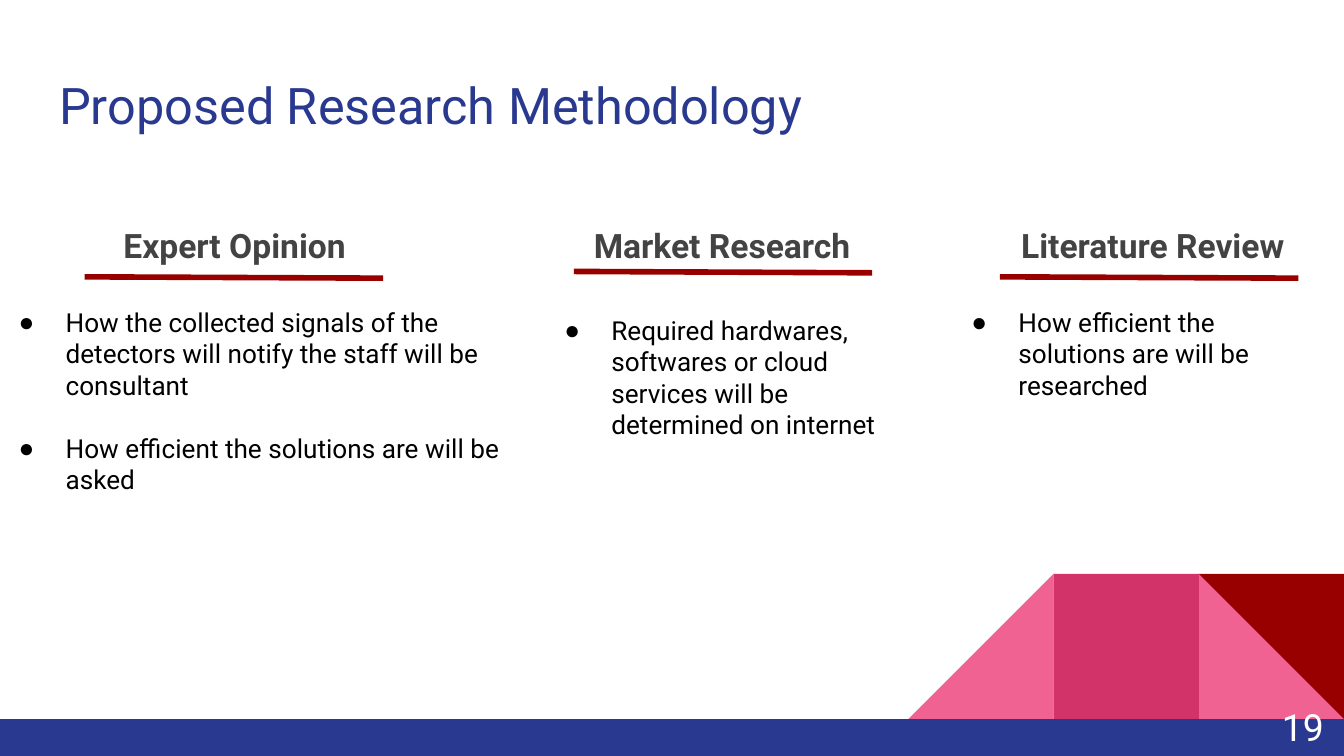
from lxml import etree
from pptx import Presentation
from pptx.dml.color import RGBColor
from pptx.enum.shapes import MSO_CONNECTOR as CONN, MSO_SHAPE as SHAPE
from pptx.enum.text import MSO_ANCHOR as ANCHOR, MSO_AUTO_SIZE as FIT, PP_ALIGN as ALIGN
from pptx.oxml.ns import qn
from pptx.util import Inches, Pt

W = 10
H = W * 9 / 16
TILE = 1.08
FOOTER_TOP = 5.35
FONT = "Roboto"
BULLET_FONT = "Arial"
COLORS = {
    "blue": "2A3990", "pink": "F06292", "rose": "D23369", "red": "980000",
    "gray": "434343", "black": "000000", "white": "FFFFFF",
}
# heading, heading left, rule left, rule top, list box, bullets
COLUMNS = [
    ("Expert Opinion", 0.82, 0.63, 2.06, (-0.11, 2.18, 4.13, 1.62),
     ["How the collected signals of the detectors will notify the staff will be consultant",
      "How efficient the solutions are will be asked"]),
    ("Market Research", 4.32, 4.27, 2.02, (3.95, 2.24, 2.85, 1.14),
     ["Required hardwares, softwares or cloud services will be determined on internet"]),
    ("Literature Review", 7.5, 7.44, 2.06, (6.98, 2.18, 2.97, 0.91),
     ["How efficient the solutions are will be researched"]),
]


def color(name):
    return RGBColor.from_string(COLORS[name])


def inches(box):
    return [Inches(v) for v in box]


def set_frame(tf, anchor=ANCHOR.TOP):
    tf.word_wrap = True
    tf.auto_size = FIT.NONE
    tf.vertical_anchor = anchor
    tf.margin_left = tf.margin_right = tf.margin_top = tf.margin_bottom = Inches(0.1)


def style(p, size, name, bold=False):
    for r in p.runs:
        r.font.name, r.font.size, r.font.bold = FONT, Pt(size), bold
        r.font.color.rgb = color(name)


def add_text(s, box, text, size, name, bold=False, anchor=ANCHOR.TOP):
    """Add a one-paragraph text box and return the paragraph."""
    tf = s.shapes.add_textbox(*inches(box)).text_frame
    set_frame(tf, anchor)
    tf.text = text
    p = tf.paragraphs[0]
    style(p, size, name, bold)
    return p


def add_bullet_mark(p):
    pPr = p._p.get_or_add_pPr()
    pPr.set("marL", str(Inches(0.5)))
    pPr.set("indent", str(Inches(-0.35)))
    clr = etree.SubElement(pPr, qn("a:buClr"))
    etree.SubElement(clr, qn("a:srgbClr"), val=COLORS["black"])
    etree.SubElement(pPr, qn("a:buFont"), typeface=BULLET_FONT)
    etree.SubElement(pPr, qn("a:buChar"), char="●")


def add_bullets(s, box, items):
    tf = s.shapes.add_textbox(*inches(box)).text_frame
    set_frame(tf)
    for i, item in enumerate(items):
        p = tf.paragraphs[0] if i == 0 else tf.add_paragraph()
        p.text = item
        add_bullet_mark(p)
        style(p, 14, "black")
        if i:
            p.space_before = Pt(17)


def add_block(s, kind, box, name, flip=False, rotation=0):
    sp = s.shapes.add_shape(kind, *inches(box))
    sp.shadow.inherit = False
    sp.fill.solid()
    sp.fill.fore_color.rgb = color(name)
    sp.line.fill.background()
    sp.rotation = rotation
    if flip:
        sp._element.spPr.find(qn("a:xfrm")).set("flipH", "1")


def add_rule(s, left, top):
    """Add the slightly sloping line under a column heading."""
    ends = inches((left + 2.22, top + 0.01, left, top))
    line = s.shapes.add_connector(CONN.STRAIGHT, *ends)
    line.line.color.rgb = color("red")
    line.line.width = Pt(3)
    etree.SubElement(line._element.spPr, qn("a:effectLst"))


def add_decor(s):
    def tile(column):
        return W - column * TILE, FOOTER_TOP - TILE, TILE, TILE

    add_block(s, SHAPE.RIGHT_TRIANGLE, tile(1), "pink")
    add_block(s, SHAPE.RIGHT_TRIANGLE, tile(3), "pink", flip=True)
    add_block(s, SHAPE.RECTANGLE, tile(2), "rose")
    add_block(s, SHAPE.RIGHT_TRIANGLE, tile(1), "red", rotation=180)
    add_block(s, SHAPE.RECTANGLE, (0, FOOTER_TOP, W, H - FOOTER_TOP), "blue")


def set_title(s, text):
    title = s.shapes.title
    title.left, title.top, title.width, title.height = inches((0.34, 0.45, 9.32, 0.66))
    set_frame(title.text_frame)
    title.text_frame.text = text
    p = title.text_frame.paragraphs[0]
    p.alignment = ALIGN.LEFT
    style(p, 27, "blue")


def main():
    prs = Presentation()
    prs.slide_width, prs.slide_height = Inches(W), Inches(H)
    s = prs.slides.add_slide(prs.slide_layouts[5])
    add_decor(s)
    set_title(s, "Proposed Research Methodology")
    number = add_text(s, (9.35, 5.19, 0.6, 0.43), "19", 20, "white", anchor=ANCHOR.MIDDLE)
    number.alignment = ALIGN.RIGHT
    for heading, left, rule_left, rule_top, box, items in COLUMNS:
        p = add_text(s, (left, 1.53, 2.97, 0.5), heading, 18, "gray", bold=True)
        p.line_spacing = 1.15
        add_bullets(s, box, items)
        add_rule(s, rule_left, rule_top)
    prs.save("out.pptx")


if __name__ == "__main__":
    main()
